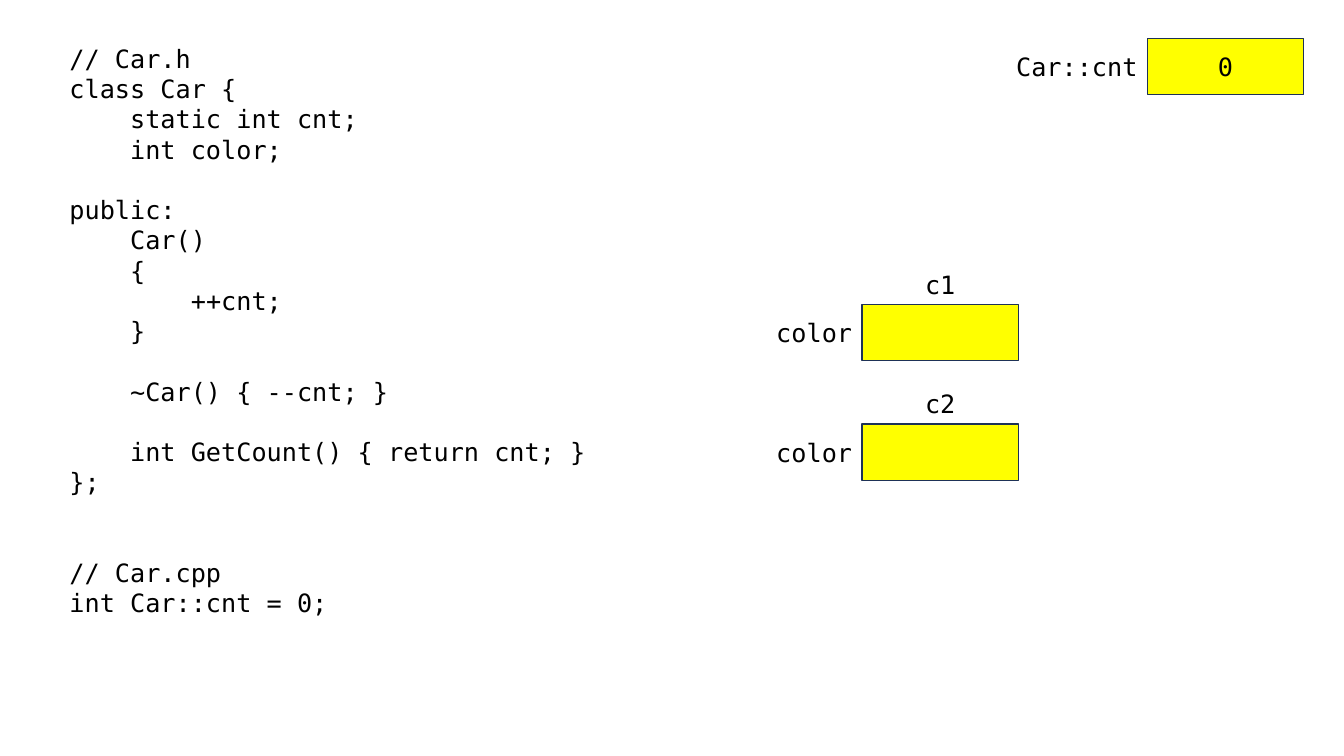
import pptx
import pptx.util
import pptx.dml.color
import pptx.enum.shapes
import pptx.enum.text

Pt = pptx.util.Pt
RGB = pptx.dml.color.RGBColor.from_string
ALIGN = pptx.enum.text.PP_ALIGN
COLORS = {"text": "000000", "cell": "FFFF00", "edge": "1E3256"}
FONT = {"name": "DejaVu Sans Mono", "size": Pt(18)}
LINE_PT = 21.6
INDENT_PT = 43.35
BOX_W, BOX_H, LABEL_H = 15.5, 5.6, 4

CODE = """// Car.h
class Car {
    static int cnt;
    int color;

public:
    Car()
    {
        ++cnt;
    }

    ~Car() { --cnt; }

    int GetCount() { return cnt; }
};


// Car.cpp
int Car::cnt = 0;"""


class Deck:
    def __init__(self, prs):
        self.prs = prs
        self.s = prs.slides.add_slide(prs.slide_layouts[6])
        self.col = prs.slide_width / 133.3
        self.row = prs.slide_height / 75

    def place(self, x, y, w, h):
        return [round(v * u) for v, u in zip((x, y, w, h), (self.col, self.row) * 2)]

    def style(self, obj, values):
        for key, value in values.items():
            setattr(obj, key, value)

    def add_text(self, p, text, align):
        p.alignment = align
        r = p.add_run()
        r.text = text
        self.style(r.font, FONT)
        r.font.color.rgb = RGB(COLORS["text"])

    def text_box(self, x, y, w, h):
        tf = self.s.shapes.add_textbox(*self.place(x, y, w, h)).text_frame
        self.style(tf, {"word_wrap": True,
                        "auto_size": pptx.enum.text.MSO_AUTO_SIZE.SHAPE_TO_FIT_TEXT})
        return tf

    def label(self, x, y, w, text, align):
        self.add_text(self.text_box(x, y, w, LABEL_H).paragraphs[0], text, align)

    def code(self, x, y, w, h, source):
        tf = self.text_box(x, y, w, h)
        p, gaps = tf.paragraphs[0], 0
        for i, line in enumerate(source.splitlines()):
            text = line.strip()
            if not text:
                gaps += 1
                continue
            if i:
                p = tf.add_paragraph()
            p.space_before = Pt(gaps * LINE_PT)
            depth = (len(line) - len(text)) // 4
            self.add_text(p, text, ALIGN.LEFT)
            p._p.get_or_add_pPr().set("marL", str(Pt(depth * INDENT_PT)))
            gaps = 0

    def cell(self, x, y, value=""):
        sp = self.s.shapes.add_shape(pptx.enum.shapes.MSO_SHAPE.RECTANGLE,
                                     *self.place(x, y, BOX_W, BOX_H))
        sp.shadow.inherit = False
        sp.fill.solid()
        sp.fill.fore_color.rgb = RGB(COLORS["cell"])
        sp.line.color.rgb = RGB(COLORS["edge"])
        sp.line.width = Pt(1)
        if value:
            sp.text_frame.vertical_anchor = pptx.enum.text.MSO_ANCHOR.MIDDLE
            self.add_text(sp.text_frame.paragraphs[0], value, ALIGN.CENTER)

    def field(self, x, y, name, name_w, value=""):
        self.cell(x, y, value)
        self.label(x - name_w, y + (BOX_H - LABEL_H) / 2, name_w, name, ALIGN.RIGHT)


prs = pptx.Presentation()
prs.slide_width = pptx.util.Inches(13.33)
prs.slide_height = pptx.util.Inches(7.5)
deck = Deck(prs)
deck.code(5.9, 3.8, 60.8, 61.6, CODE)
deck.field(113.8, 3.8, "Car::cnt", BOX_W, "0")
for i, name in enumerate(("c1", "c2")):
    y = 30.2 + i * 11.85
    deck.field(85.5, y, "color", 11)
    deck.label(85.5, y - LABEL_H, BOX_W, name, ALIGN.CENTER)
prs.save("out.pptx")
